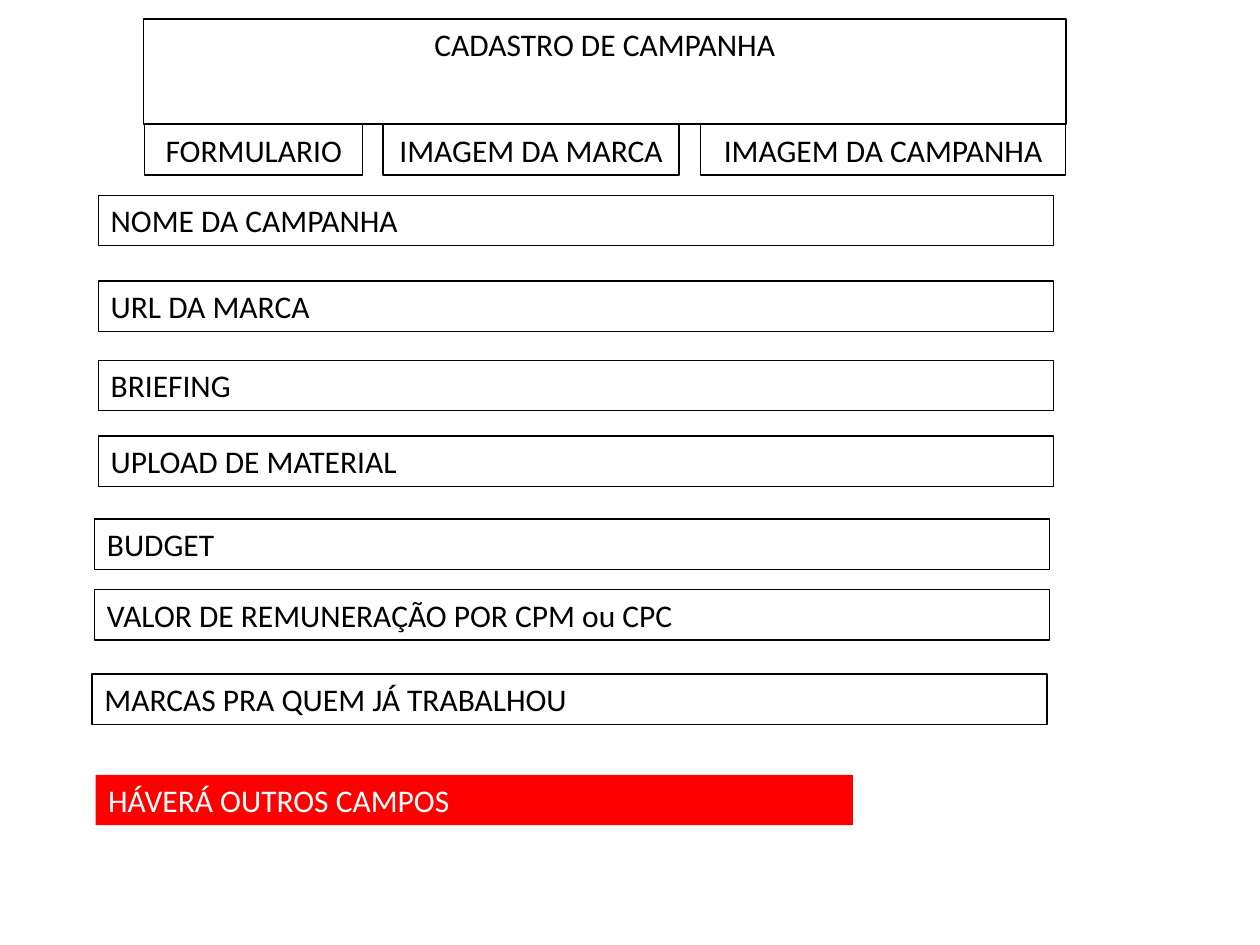
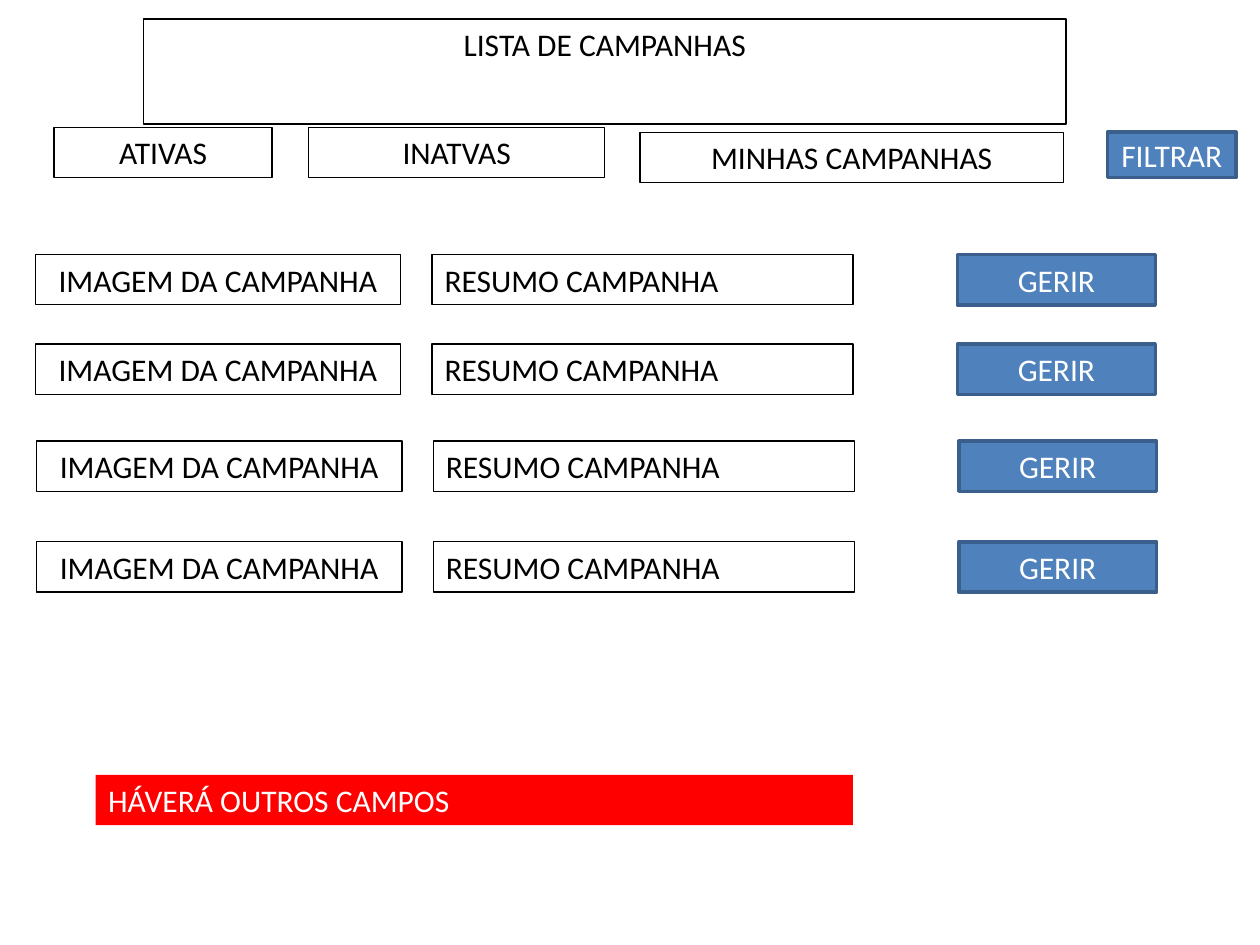
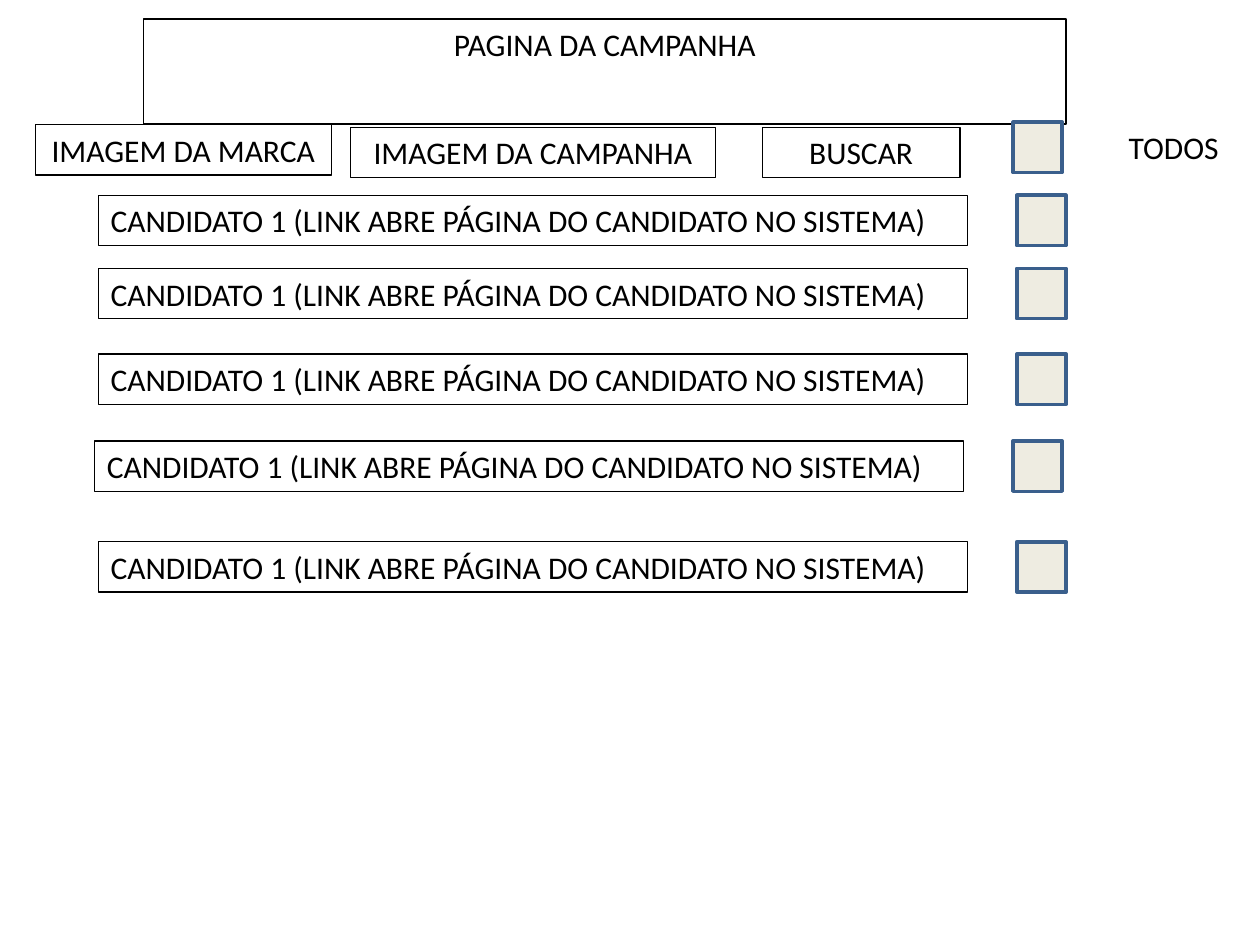
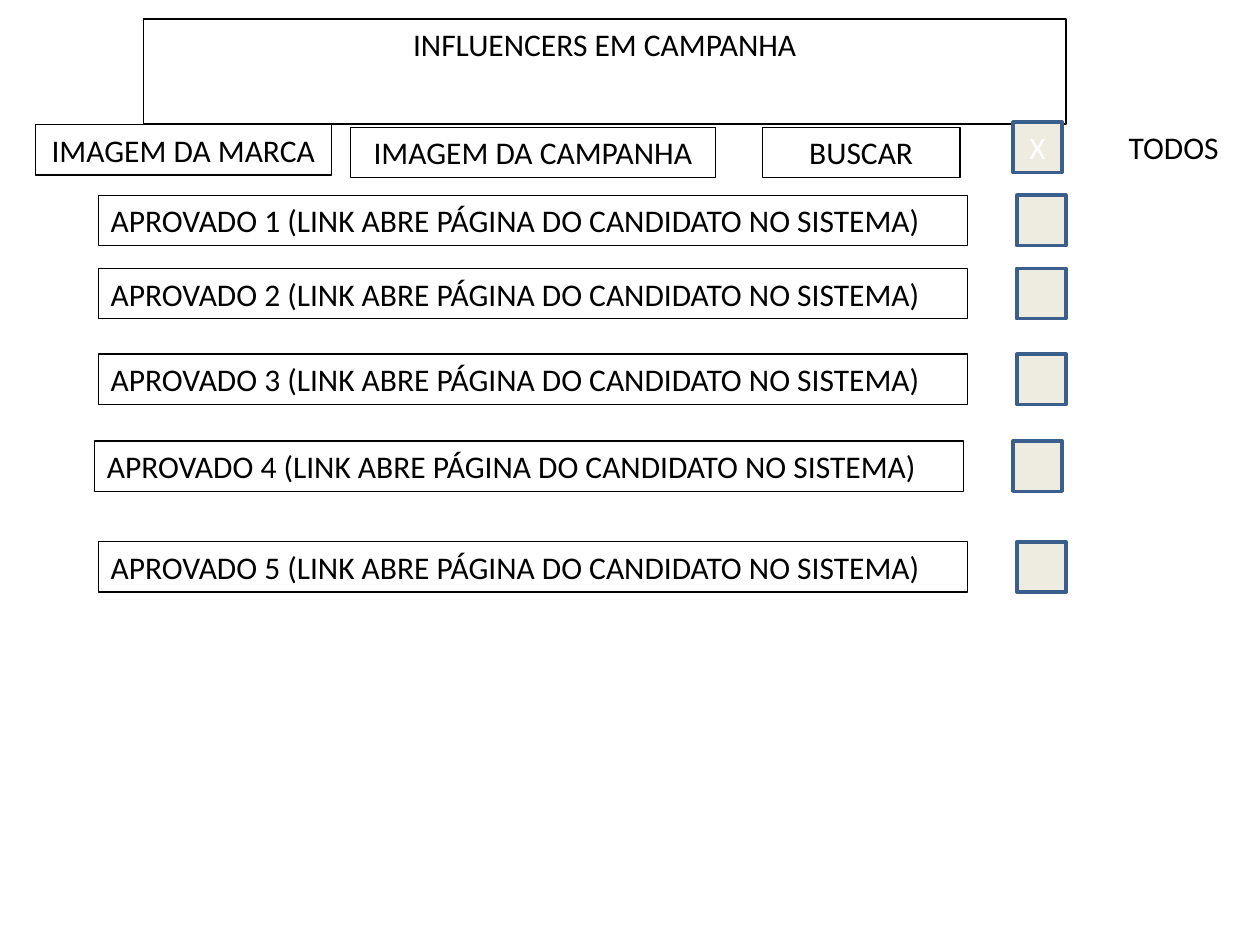
from pptx import Presentation
from pptx.dml.color import RGBColor
from pptx.enum.shapes import MSO_SHAPE
from pptx.enum.text import MSO_ANCHOR, MSO_AUTO_SIZE, PP_ALIGN
from pptx.util import Inches, Pt

RECTANGLE = MSO_SHAPE.RECTANGLE
TOP, MIDDLE = MSO_ANCHOR.TOP, MSO_ANCHOR.MIDDLE
LEFT, CENTER = PP_ALIGN.LEFT, PP_ALIGN.CENTER
FIT_SHAPE = MSO_AUTO_SIZE.SHAPE_TO_FIT_TEXT
TITLE_ONLY = 5

BLACK, WHITE, RED = "000000", "FFFFFF", "FF0000"
BLUE, DARK_BLUE, CREAM = "4F81BD", "3A5F8C", "EEECE1"
ROW_HEIGHT = 0.4


def rgb(color):
    return RGBColor.from_string(color)


class Wireframe:
    """Holds the wireframe style and draws on the current slide."""

    def __init__(self):
        self.deck = Presentation()
        self.deck.slide_width = Inches(10)
        self.deck.slide_height = Inches(7.5)
        self.slide = None

    def new_screen(self, title):
        layout = self.deck.slide_layouts[TITLE_ONLY]
        self.slide = self.deck.slides.add_slide(layout)
        heading = self.slide.shapes.title
        heading.left, heading.top = Inches(1.14), Inches(0.15)
        heading.width, heading.height = Inches(7.32), Inches(ROW_HEIGHT)
        self.outline(heading, BLACK, 0.75)
        self.set_text(heading, title, align=CENTER)

    def outline(self, shape, color, width):
        shape.line.color.rgb = rgb(color)
        shape.line.width = Pt(width)

    def set_text(self, shape, text, color=BLACK, align=LEFT, anchor=TOP, fit=True):
        frame = shape.text_frame
        frame.word_wrap = True
        frame.vertical_anchor = anchor
        if fit:
            frame.auto_size = FIT_SHAPE
        paragraph = frame.paragraphs[0]
        paragraph.text = text
        paragraph.alignment = align
        paragraph.font.name = "Calibri"
        paragraph.font.size = Pt(18)
        paragraph.font.color.rgb = rgb(color)

    def label(self, text, left, top, width, color=BLACK, align=LEFT):
        box = self.slide.shapes.add_textbox(
            Inches(left), Inches(top), Inches(width), Inches(ROW_HEIGHT))
        self.set_text(box, text, color, align)
        return box

    def field(self, text, left, top, width, align=LEFT):
        self.outline(self.label(text, left, top, width, align=align), BLACK, 0.75)

    def tab(self, text, left, top, width):
        self.field(text, left, top, width, CENTER)

    def warning(self):
        banner = self.label("HÁVERÁ OUTROS CAMPOS", 0.76, 6.15, 6.01, WHITE)
        banner.fill.solid()
        banner.fill.fore_color.rgb = rgb(RED)

    def button(self, text, left, top, width, height=ROW_HEIGHT, fill=BLUE):
        control = self.slide.shapes.add_shape(
            RECTANGLE, Inches(left), Inches(top), Inches(width), Inches(height))
        control.shadow.inherit = False
        control.fill.solid()
        control.fill.fore_color.rgb = rgb(fill)
        self.outline(control, DARK_BLUE, 2)
        if text:
            self.set_text(control, text, WHITE, CENTER, MIDDLE, fit=False)

    def checkbox(self, left, top, mark=""):
        self.button(mark, left, top, 0.39, fill=CREAM)


def campaign_form(wireframe):
    wireframe.new_screen("CADASTRO DE CAMPANHA")
    for text, left, width in [("FORMULARIO", 1.15, 1.73),
                              ("IMAGEM DA MARCA", 3.04, 2.35),
                              ("IMAGEM DA CAMPANHA", 5.56, 2.9)]:
        wireframe.tab(text, left, 0.99, width)
    for text, left, top in [("NOME DA CAMPANHA", 0.78, 1.55),
                            ("URL DA MARCA", 0.78, 2.23),
                            ("BRIEFING", 0.78, 2.86),
                            ("UPLOAD DE MATERIAL", 0.78, 3.46),
                            ("BUDGET", 0.75, 4.12),
                            ("VALOR DE REMUNERAÇÃO POR CPM ou CPC", 0.75, 4.68),
                            ("MARCAS PRA QUEM JÁ TRABALHOU", 0.73, 5.35)]:
        wireframe.field(text, left, top, 7.58)
    wireframe.warning()


def campaign_list(wireframe):
    wireframe.new_screen("LISTA DE CAMPANHAS")
    for text, left, top, width in [("ATIVAS", 0.43, 1.01, 1.73),
                                   ("INATVAS", 2.45, 1.01, 2.35),
                                   ("MINHAS CAMPANHAS", 5.08, 1.05, 3.36)]:
        wireframe.tab(text, left, top, width)
    wireframe.button("FILTRAR", 8.79, 1.05, 1.02, 0.36)
    for left, top in [(0.28, 2.02), (0.28, 2.73), (0.29, 3.5), (0.29, 4.3)]:
        wireframe.tab("IMAGEM DA CAMPANHA", left, top, 2.9)
        wireframe.field("RESUMO CAMPANHA", left + 3.15, top, 3.34)
        wireframe.button("GERIR", left + 7.32, top, 1.57)
    wireframe.warning()


def people_screen(wireframe, title, people, all_mark=""):
    wireframe.new_screen(title)
    for text, left, top, width in [("IMAGEM DA MARCA", 0.28, 0.99, 2.35),
                                   ("IMAGEM DA CAMPANHA", 2.78, 1.01, 2.9),
                                   ("BUSCAR", 6.05, 1.01, 1.57)]:
        wireframe.tab(text, left, top, width)
    wireframe.checkbox(8.04, 0.97, all_mark)
    wireframe.label("TODOS", 8.86, 0.97, 1.14)
    rows = [(0.78, 1.55), (0.78, 2.13), (0.78, 2.81), (0.75, 3.5), (0.78, 4.3)]
    for person, (left, top) in zip(people, rows):
        wireframe.field(f"{person} (LINK ABRE PÁGINA DO CANDIDATO NO SISTEMA)",
                        left, top, 6.9)
        wireframe.checkbox(left + 7.29, top)


def main():
    wireframe = Wireframe()
    campaign_form(wireframe)
    campaign_list(wireframe)
    people_screen(wireframe, "PAGINA DA CAMPANHA", ["CANDIDATO 1"] * 5)
    people_screen(wireframe, "INFLUENCERS EM CAMPANHA",
                  [f"APROVADO {number}" for number in range(1, 6)], "X")
    wireframe.deck.save("out.pptx")


if __name__ == "__main__":
    main()
